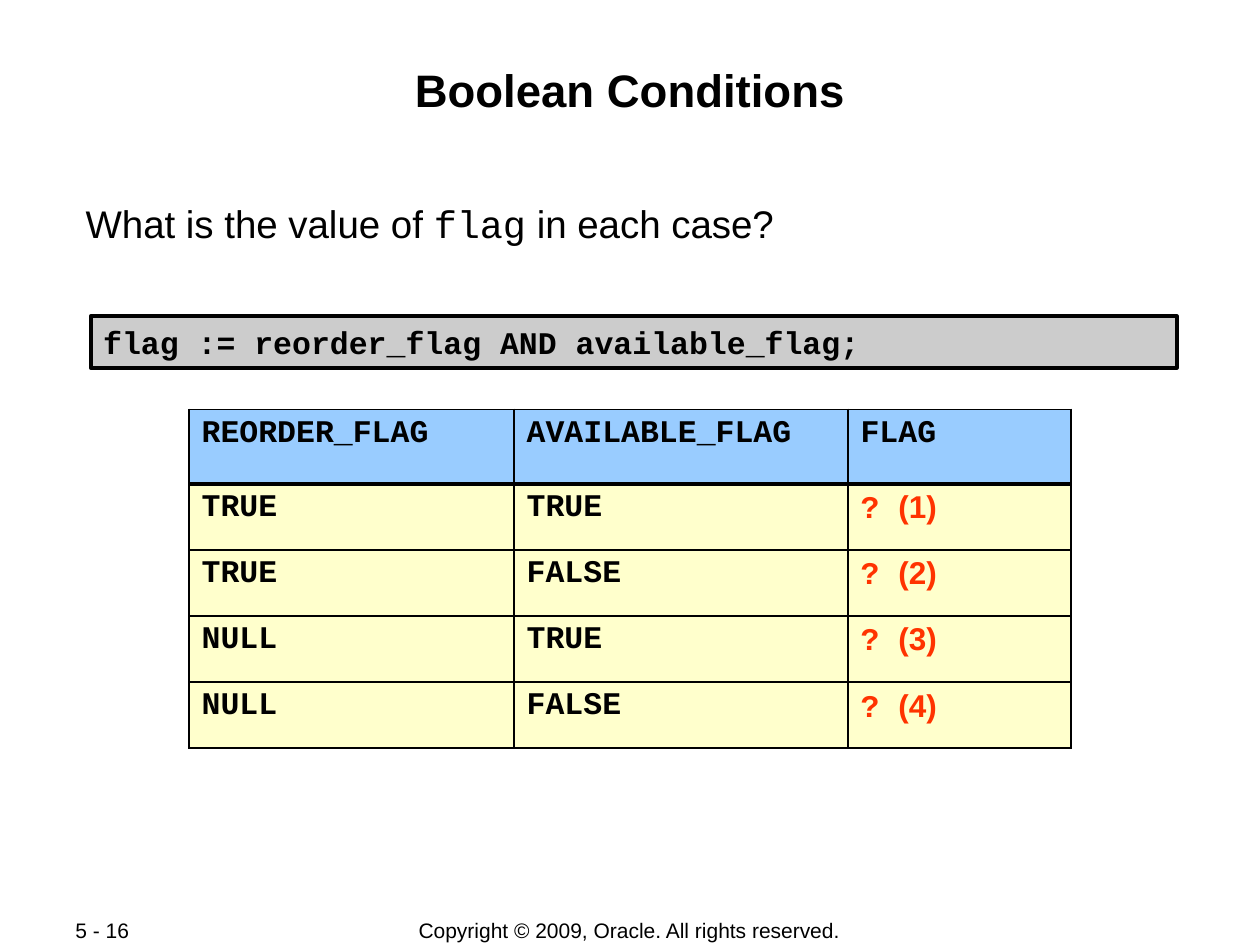
from dataclasses import dataclass

from lxml import etree
from pptx import Presentation
from pptx.dml.color import RGBColor
from pptx.enum.shapes import MSO_SHAPE
from pptx.enum.text import MSO_ANCHOR, MSO_AUTO_SIZE, PP_ALIGN
from pptx.oxml.ns import qn
from pptx.util import Inches, Pt

RECT = MSO_SHAPE.RECTANGLE
TOP, MIDDLE = MSO_ANCHOR.TOP, MSO_ANCHOR.MIDDLE
FIXED = MSO_AUTO_SIZE.NONE
LEFT, CENTER = PP_ALIGN.LEFT, PP_ALIGN.CENTER


@dataclass(frozen=True)
class Theme:
    sans: str = "Arial"
    mono: str = "Courier New"
    ink: str = "000000"
    alert: str = "FF3300"
    panel: str = "CCCCCC"
    head: str = "99CCFF"
    body: str = "FFFFCC"
    title: int = 26
    lead: int = 22
    code: int = 18
    foot: int = 12
    thin: float = 1.08
    thick: float = 2.21
    frame: float = 2.25


class Deck:
    def __init__(self, theme):
        self.theme = theme
        self.deck = Presentation()
        self.deck.slide_width = Inches(10)
        self.deck.slide_height = Inches(7.5)
        self.slide = self.deck.slides.add_slide(self.deck.slide_layouts[1])

    def style(self, run, size, font, color=None, bold=False):
        run.font.size = Pt(size)
        run.font.name = font
        run.font.bold = bold
        run.font.color.rgb = RGBColor.from_string(color or self.theme.ink)

    def place(self, shape, box):
        shape.left, shape.top, shape.width, shape.height = map(Inches, box)

    def setup(self, frame, anchor, align, inset=None):
        frame.word_wrap = True
        frame.auto_size = FIXED
        frame.vertical_anchor = anchor
        if inset is not None:
            frame.margin_left = frame.margin_right = Inches(inset)
            frame.margin_top = frame.margin_bottom = Inches(inset)
        para = frame.paragraphs[0]
        para.alignment = align
        para.space_before = Pt(0)
        return para

    def title(self, text, box):
        shape = self.slide.shapes.title
        self.place(shape, box)
        shape.text_frame.text = text
        para = self.setup(shape.text_frame, TOP, CENTER, 0.01)
        self.style(para.runs[0], self.theme.title, self.theme.sans, bold=True)

    def lead(self, parts, box):
        shape = self.slide.placeholders[1]
        self.place(shape, box)
        para = self.setup(shape.text_frame, TOP, LEFT, 0.01)
        props = para._p.get_or_add_pPr()
        props.set("marL", "0")
        props.set("indent", "0")
        etree.SubElement(props, qn("a:buNone"))
        for text, font in parts:
            run = para.add_run()
            run.text = text
            self.style(run, self.theme.lead, font)

    def code(self, text, box):
        shape = self.slide.shapes.add_shape(RECT, *map(Inches, box))
        shape.shadow.inherit = False
        shape.fill.solid()
        shape.fill.fore_color.rgb = RGBColor.from_string(self.theme.panel)
        shape.line.color.rgb = RGBColor.from_string(self.theme.ink)
        shape.line.width = Pt(self.theme.frame)
        shape.text_frame.text = text
        para = self.setup(shape.text_frame, MIDDLE, LEFT)
        self.style(para.runs[0], self.theme.code, self.theme.mono, bold=True)

    def label(self, text, box, align):
        shape = self.slide.shapes.add_textbox(*map(Inches, box))
        shape.text_frame.text = text
        para = self.setup(shape.text_frame, MIDDLE, align)
        self.style(para.runs[0], self.theme.foot, self.theme.sans)

    def border(self, cell, side, width):
        props = cell._tc.get_or_add_tcPr()
        line = etree.SubElement(props, qn(f"a:ln{side}"), w=str(Pt(width)))
        fill = etree.SubElement(line, qn("a:solidFill"))
        etree.SubElement(fill, qn("a:srgbClr"), val=self.theme.ink)

    def cell(self, cell, row, text, mark=None):
        theme = self.theme
        widths = {
            "L": theme.thin,
            "R": theme.thin,
            "T": theme.thick if row == 1 else theme.thin,
            "B": theme.thick if row == 0 else theme.thin,
        }
        for side, width in widths.items():
            self.border(cell, side, width)
        cell.fill.solid()
        shade = theme.body if row else theme.head
        cell.fill.fore_color.rgb = RGBColor.from_string(shade)
        cell.text_frame.text = text
        para = cell.text_frame.paragraphs[0]
        color = theme.alert if mark else theme.ink
        self.style(para.runs[0], theme.code, theme.mono, color, True)
        if mark:
            run = para.add_run()
            run.text = mark
            self.style(run, theme.code, theme.sans, color, True)

    def table(self, rows, box, widths, heights):
        frame = self.slide.shapes.add_table(
            len(rows), len(widths), *map(Inches, box)
        )
        table = frame.table
        for col, width in zip(table.columns, widths):
            col.width = Inches(width)
        for row, height in zip(table.rows, heights):
            row.height = Inches(height)
        for r, row in enumerate(rows):
            for c, parts in enumerate(row):
                self.cell(table.cell(r, c), r, *parts)

    def save(self):
        self.deck.save("out.pptx")


def main():
    theme = Theme()
    deck = Deck(theme)
    deck.label("Copyright © 2009, Oracle. All rights reserved.",
               (2.75, 7.28, 4.49, 0.21), CENTER)
    deck.label("5 - 16", (0.5, 7.28, 1.06, 0.2), LEFT)
    deck.title("Boolean Conditions", (0.67, 0.48, 8.66, 0.96))
    deck.lead(
        [("What is the value of ", theme.sans), ("flag", theme.mono),
         (" in each case?", theme.sans)],
        (0.67, 1.58, 8.66, 0.39),
    )
    deck.code("flag := reorder_flag AND available_flag;",
              (0.72, 2.51, 8.62, 0.41))
    cases = [("TRUE", "TRUE"), ("TRUE", "FALSE"),
             ("NULL", "TRUE"), ("NULL", "FALSE")]
    rows = [[("REORDER_FLAG",), ("AVAILABLE_FLAG",), ("FLAG",)]]
    for num, (first, second) in enumerate(cases, 1):
        rows.append([(first,), (second,), ("? ", f"({num})")])
    deck.table(rows, (1.5, 3.25, 7, 2.69), (2.58, 2.65, 1.77),
               [0.59] + [0.525] * len(cases))
    deck.save()


if __name__ == "__main__":
    main()
